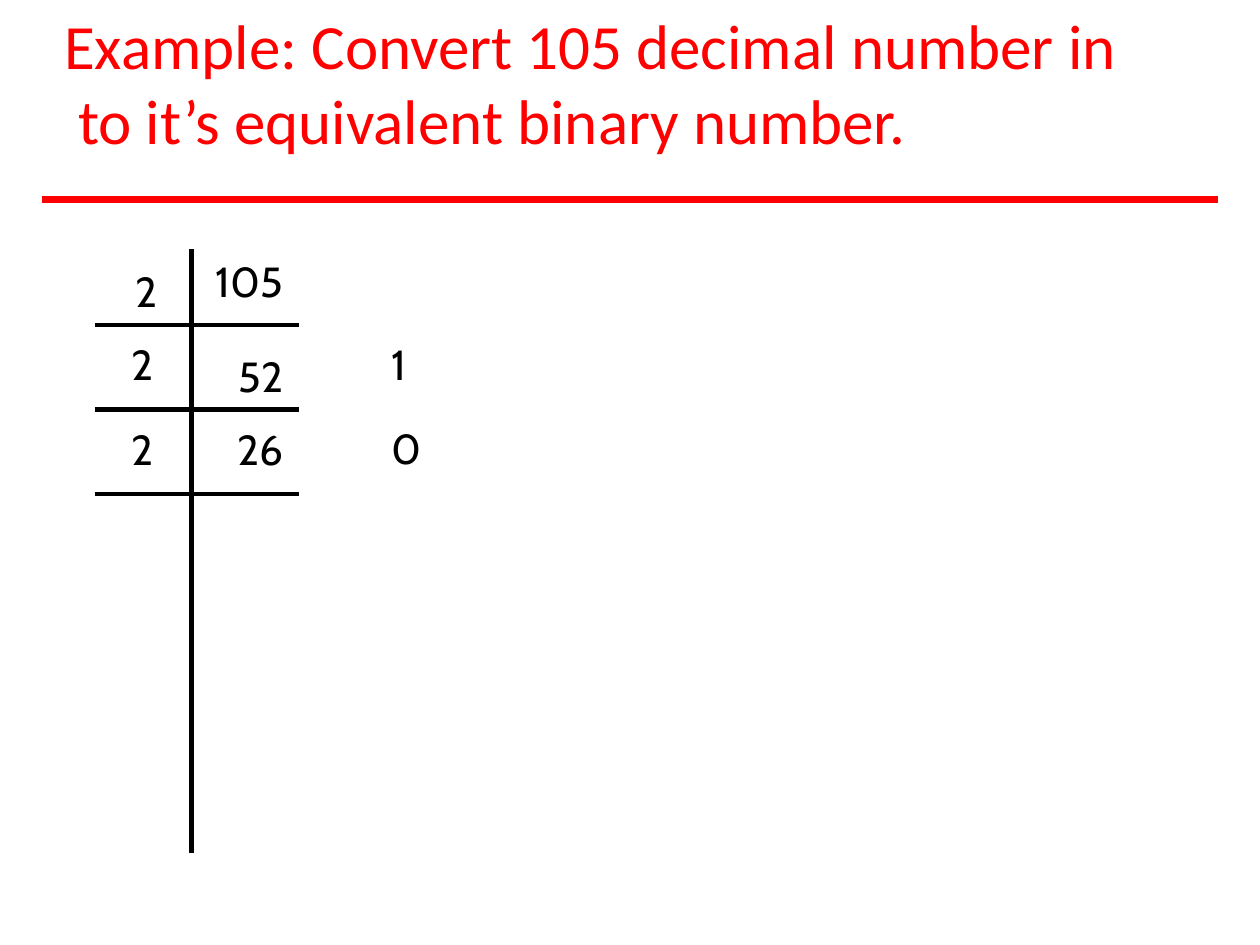
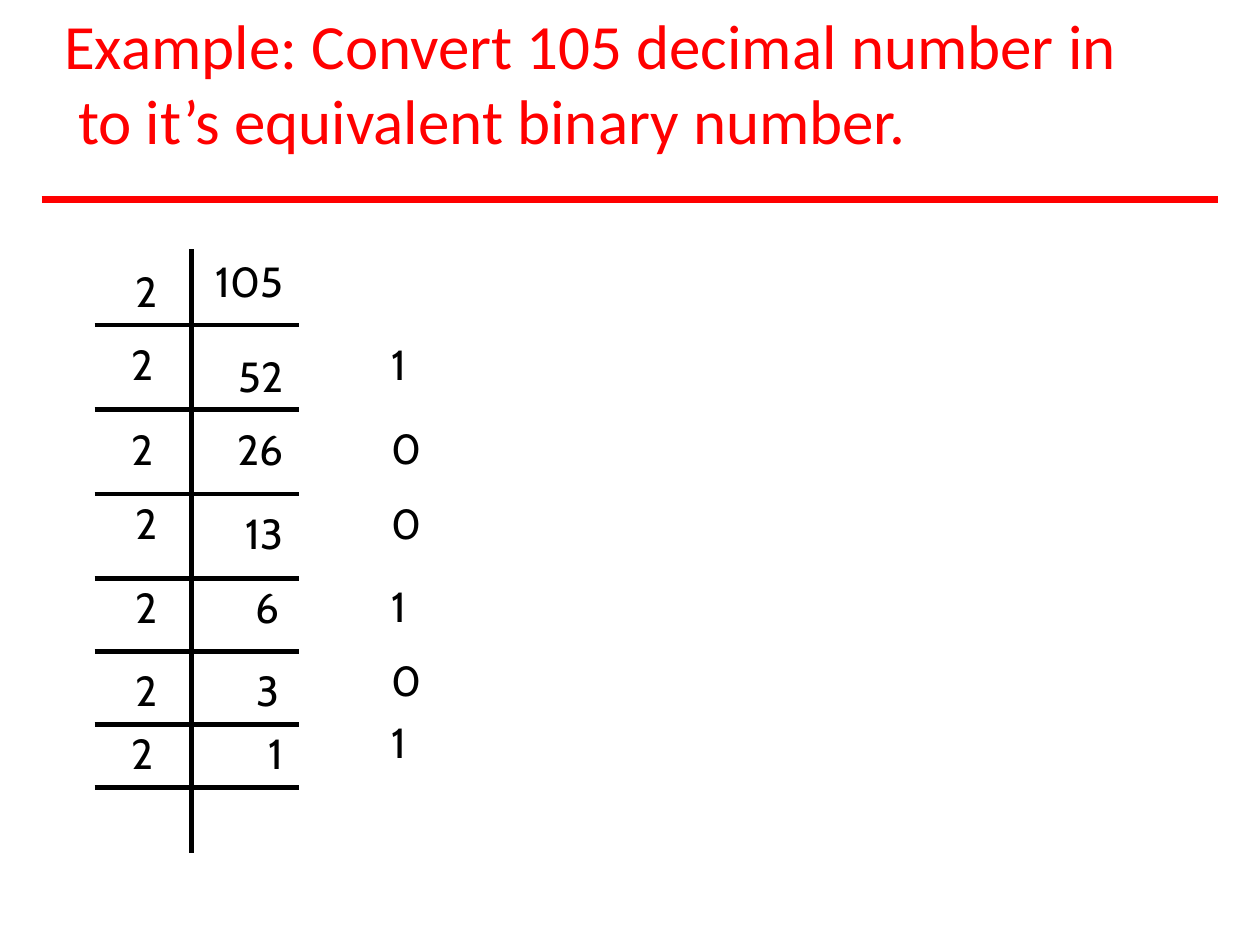
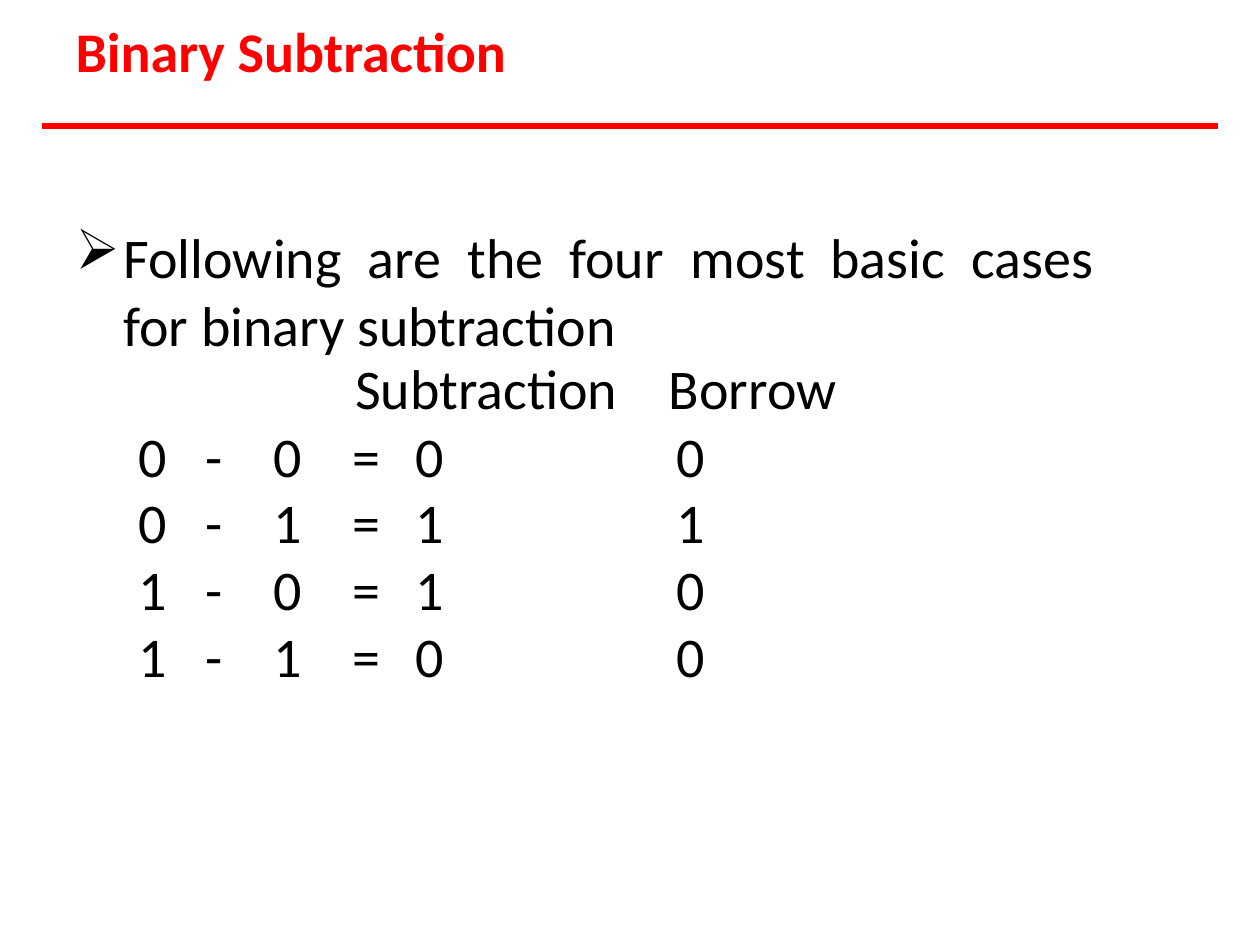
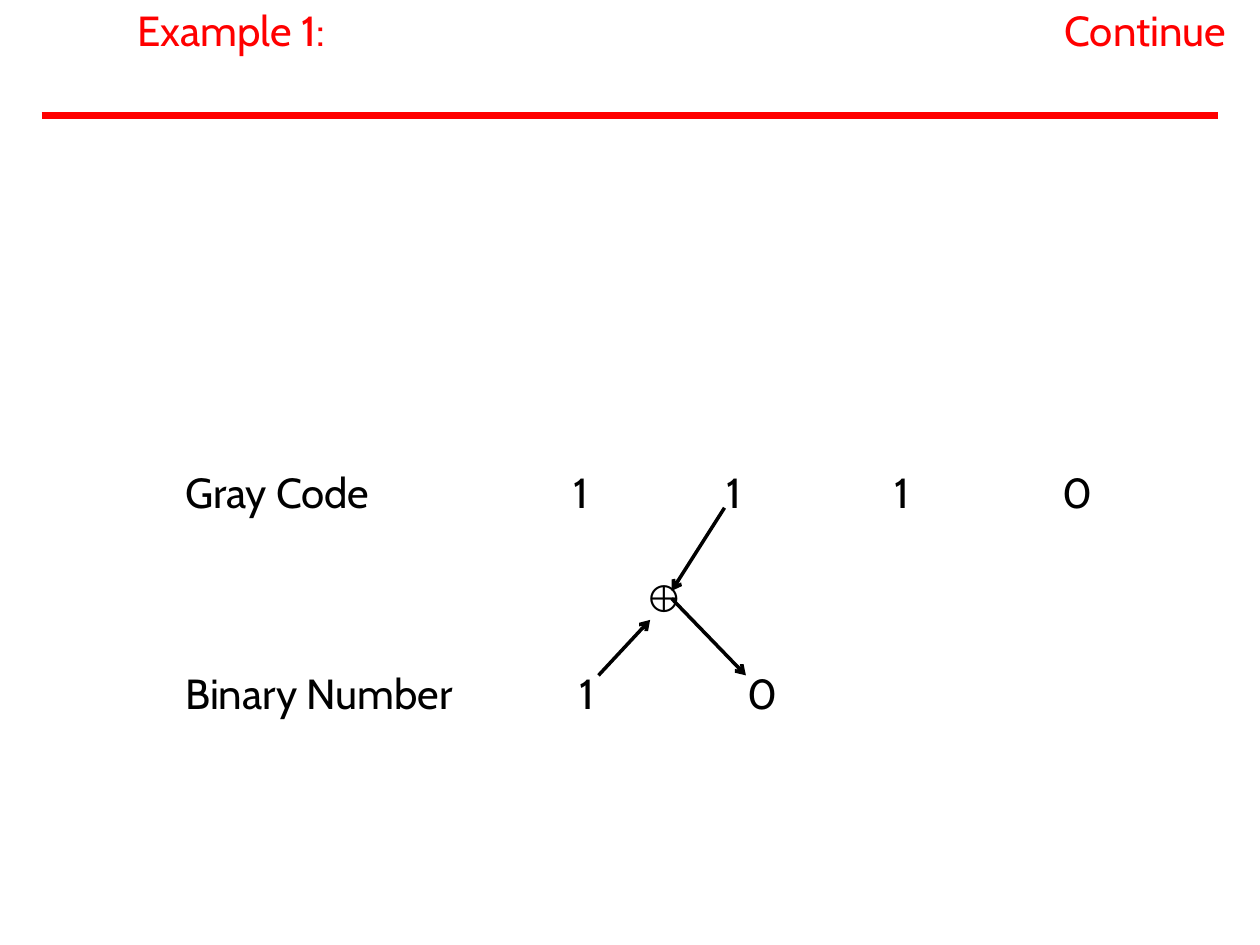
import dataclasses

import lxml.etree
import pptx
import pptx.dml.color
import pptx.enum.shapes
import pptx.enum.text
import pptx.oxml
import pptx.oxml.ns
import pptx.util


@dataclasses.dataclass(frozen=True)
class Theme:
    red: str = "FF0000"
    black: str = "000000"
    heading_font: str = "Calibri"
    digit_font: str = "Cabin"
    symbol_font: str = "Arial"
    title_size: float = 36
    heading_size: float = 32
    digit_size: float = 24
    symbol_size: float = 21.5
    rule_width: float = 4
    grid_width: float = 3
    arrow_width: float = 2


theme = Theme()
PX = 9144
NO_GRID_STYLE = "{2D5ABB26-0587-4C30-8999-92F81FD0307C}"
qn = pptx.oxml.ns.qn
LEFT, CENTER, RIGHT = (
    pptx.enum.text.PP_ALIGN.LEFT,
    pptx.enum.text.PP_ALIGN.CENTER,
    pptx.enum.text.PP_ALIGN.RIGHT,
)


def write(holder, text, at=None, font=theme.digit_font, size=theme.digit_size,
          color=theme.black, bold=False, align=LEFT, top=1, right=0, left=1,
          indent=0, gaps=(), line_spacing=None, bullet=None, tabs=(), wrap=False):
    if at:
        holder = holder.shapes.add_textbox(*[value * PX for value in at])
        holder.text_frame.word_wrap = wrap
    box = holder if hasattr(holder, "margin_left") else holder.text_frame
    box.margin_left = box.margin_bottom = 0
    box.margin_top, box.margin_right = top * PX, right * PX
    frame = holder.text_frame
    for index, line in enumerate(text.split("\n")):
        paragraph = frame.add_paragraph() if index else frame.paragraphs[0]
        paragraph.alignment = align
        if gaps:
            paragraph.space_before = pptx.util.Pt(gaps[index])
        if line_spacing:
            paragraph.line_spacing = pptx.util.Pt(line_spacing)
        run = paragraph.add_run()
        run.text = line
        run.font.name, run.font.size, run.font.bold = font, pptx.util.Pt(size), bold
        run.font.color.rgb = pptx.dml.color.RGBColor.from_string(color)
        properties = paragraph._p.get_or_add_pPr()
        properties.set("marL", str(left * PX))
        properties.set("indent", str(indent * PX))
        if bullet:
            lxml.etree.SubElement(properties, qn("a:buChar"), char=bullet)
        if tabs:
            stops = lxml.etree.SubElement(properties, qn("a:tabLst"))
            for stop in tabs:
                lxml.etree.SubElement(stops, qn("a:tab"), pos=str(stop * PX), algn="l")


def draw_line(slide, ends, color, width, arrow=False):
    line = slide.shapes.add_connector(
        pptx.enum.shapes.MSO_CONNECTOR.STRAIGHT, *[value * PX for value in ends])
    line.line.color.rgb = pptx.dml.color.RGBColor.from_string(color)
    line.line.width = pptx.util.Pt(width)
    if arrow:
        lxml.etree.SubElement(line.line._get_or_add_ln(), qn("a:tailEnd"), type="arrow")
    lxml.etree.SubElement(line._element.spPr, qn("a:effectLst"))


presentation = pptx.Presentation()
presentation.slide_width, presentation.slide_height = 1000 * PX, 750 * PX
slides = []
for rule_y in (158, 158, 100, 92):
    slide = presentation.slides.add_slide(presentation.slide_layouts[6])
    draw_line(slide, (33, rule_y, 967, rule_y), theme.red, theme.rule_width)
    slides.append(slide)

# Each step: row height, divisor inset (top, right), quotient, quotient inset (top, right)
steps = [
    (60, (14, 27), "105", (6, 12)),
    (67, (12, 30), "52", (21, 12)),
    (67, (12, 30), "26", (12, 12)),
    (67, (4, 27), "13", (12, 12)),
    (58, (4, 27), "6", (4, 15)),
    (58, (12, 27), "3", (12, 15)),
    (50, (4, 30), "1", (4, 12)),
]
remainders = ["1", "0", "0", "1", "0", "1"]
remainder_gaps = [1, 19.2, 13.6, 18.8, 13.6, 6.8]
division_height = 479

for slide, step_count in zip(slides, (3, 7)):
    write(slide, "Example: Convert 105 decimal number in to it’s equivalent binary number.",
          at=(50, 4, 837, 123), font=theme.heading_font, size=theme.title_size,
          color=theme.red, left=12, indent=-11, wrap=True)
    shown = steps[:step_count]
    heights = [step[0] for step in shown]
    heights.append(division_height - sum(heights))
    table = slide.shapes.add_table(
        len(heights), 2, 75 * PX, 198 * PX, 162 * PX, division_height * PX).table
    table._tbl.tblPr[0].text = NO_GRID_STYLE
    table.first_row = table.horz_banding = False
    for column, width in zip(table.columns, (77, 85)):
        column.width = width * PX
    for row_index, height in enumerate(heights):
        table.rows[row_index].height = height * PX
        for column_index in range(2):
            cell = table.cell(row_index, column_index)
            cell.fill.background()
            sides = ["a:lnL" if column_index else "a:lnR"]
            if row_index:
                sides.append("a:lnT")
            if row_index < step_count:
                sides.append("a:lnB")
            for position, side in enumerate(sides):
                border = lxml.etree.Element(
                    qn(side), w=str(pptx.util.Pt(theme.grid_width)))
                fill = lxml.etree.SubElement(border, qn("a:solidFill"))
                lxml.etree.SubElement(fill, qn("a:srgbClr"), val=theme.black)
                cell._tc.tcPr.insert(position, border)
    for row_index, (height, divisor_inset, quotient, quotient_inset) in enumerate(shown):
        for column_index, (number, (top, right)) in enumerate(
                (("2", divisor_inset), (quotient, quotient_inset))):
            write(table.cell(row_index, column_index), number, align=RIGHT,
                  top=top, right=right, left=0)
    write(slide, "\n".join(remainders[:step_count - 1]),
          at=(310, 268, 21, 109 if step_count == 3 else 343), gaps=remainder_gaps)

slide = slides[2]
write(slide, "Binary Subtraction", at=(59, 12, 345, 56), font=theme.heading_font,
      size=theme.heading_size, color=theme.red, bold=True)
write(slide, "Following\tare\tthe\tfour\tmost\tbasic\tcases\tfor binary subtraction",
      at=(59, 176, 860, 110), font=theme.heading_font, size=theme.heading_size,
      left=39, indent=-38, bullet="➢", wrap=True,
      tabs=(39, 233, 312, 393, 489, 600, 712, 830))
cases = [
    ("", "", "", "Subtraction", "Borrow"),
    ("0", "-", "0", "=\t0", "0"),
    ("0", "-", "1", "=\t1", "1"),
    ("1", "-", "0", "=\t1", "0"),
    ("1", "-", "1", "=\t0", "0"),
]
table = slide.shapes.add_table(5, 5, 107 * PX, 295 * PX, 561 * PX, 257 * PX).table
table._tbl.tblPr[0].text = NO_GRID_STYLE
table.first_row = table.horz_banding = False
for column, width in zip(table.columns, (41, 49, 63, 251, 157)):
    column.width = width * PX
for row_index, (row_height, case) in enumerate(zip((49, 53, 53, 53, 49), cases)):
    table.rows[row_index].height = row_height * PX
    indents = (3, 15, 0, 20, 26) if row_index else (0, 0, 0, 22, 20)
    for column_index, (value, left) in enumerate(zip(case, indents)):
        cell = table.cell(row_index, column_index)
        cell.fill.background()
        if value:
            write(cell, value, font=theme.heading_font, size=theme.heading_size,
                  align=CENTER if column_index == 2 else LEFT, top=0, left=left,
                  line_spacing=33.6 if row_index else 30.4,
                  tabs=(83,) if "\t" in value else ())
table.cell(0, 0).merge(table.cell(0, 2))

slide = slides[3]
for label, x, width in (("Example 1:", 108, 168), ("Continue", 844, 133)):
    write(slide, label, at=(x, 3, width, 43), color=theme.red)
code_rows = [
    (369, "Gray Code", 155, ((454, "1"), (576, "1"), (709, "1"), (842, "0"))),
    (529, "Binary Number", 222, ((459, "1"), (592, "0"))),
]
for y, label, width, digits in code_rows:
    write(slide, label, at=(146, y, width, 43))
    for x, digit in digits:
        write(slide, digit, at=(x, y, 21, 43))
for ends in ((475, 536, 516, 492), (575, 403, 533, 469), (533, 475, 592, 536)):
    draw_line(slide, ends, theme.black, theme.arrow_width, arrow=True)
write(slide, "⊕", at=(511, 454, 33, 39), font=theme.symbol_font,
      size=theme.symbol_size, top=2)

presentation.save("out.pptx")
